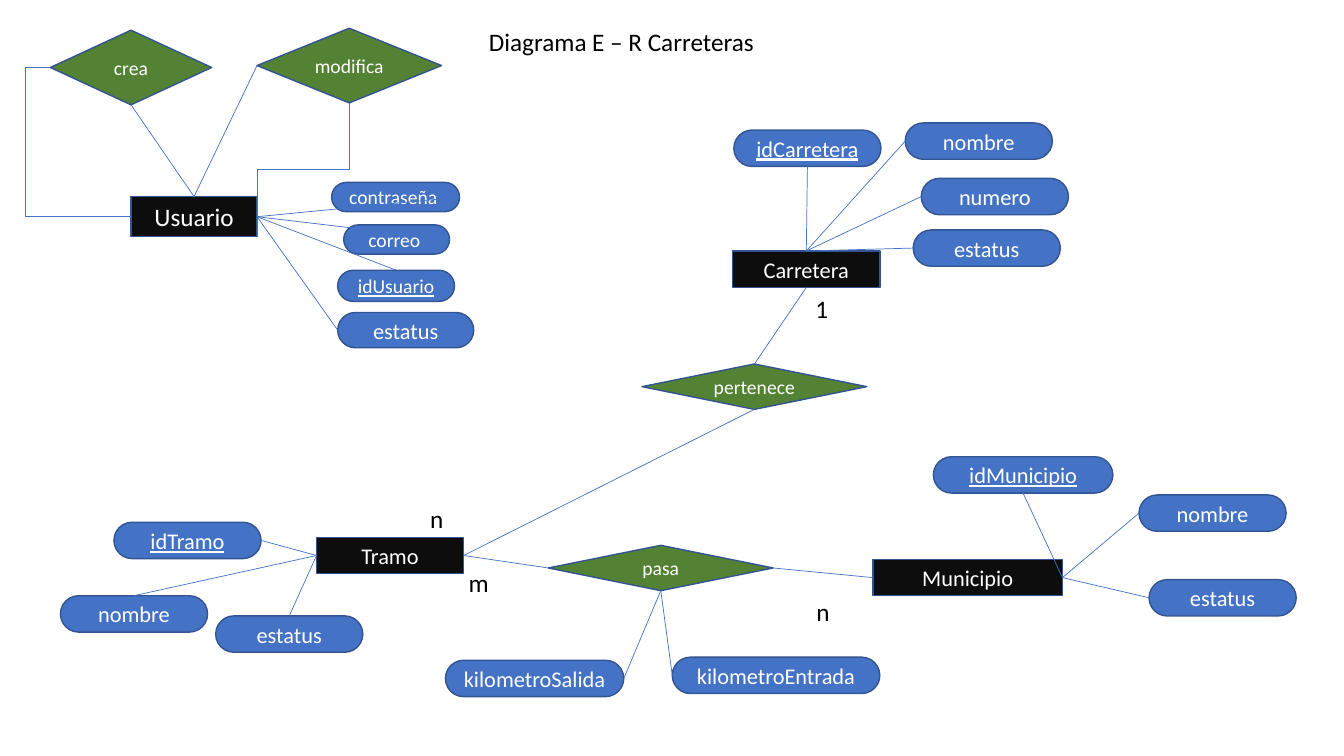
from lxml import etree
from pptx import Presentation
from pptx.dml.color import RGBColor
from pptx.enum import shapes as sh, text as tx
from pptx.oxml.ns import qn
from pptx.util import Pt

INK = {"entity": "0D0D0D", "link": "548235", "field": "4472C4", "edge": "325491",
       "wire": "4472C4", "light": "FFFFFF", "dark": "000000"}
FORM = {"entity": sh.MSO_SHAPE.RECTANGLE, "link": sh.MSO_SHAPE.DIAMOND,
        "field": sh.MSO_SHAPE.ROUNDED_RECTANGLE}
TOP, LEFT, BOTTOM, RIGHT = range(4)  # connection sites
WIDE, HIGH = 105.1, 26  # usual size of entities and fields


def paint(name):
    return RGBColor.from_string(INK[name])


def style(para, size, ink):
    para.font.name = "Calibri"
    para.font.size = Pt(size)
    para.font.color.rgb = paint(ink)


def node(slide, box, kind, word, x, y, w=WIDE, h=HIGH, size=16, key=False):
    """Add an entity, a relation or an attribute at an offset in its region."""
    item = slide.shapes.add_shape(FORM[kind], Pt(box[0] + x), Pt(box[1] + y), Pt(w), Pt(h))
    item.shadow.inherit = False
    item.fill.solid()
    item.fill.fore_color.rgb = paint(kind)
    item.line.color.rgb = paint("edge")
    item.line.width = Pt(1)
    if kind == "field":
        item.adjustments[0] = 0.5
    frame = item.text_frame
    frame.word_wrap = True
    frame.vertical_anchor = tx.MSO_ANCHOR.MIDDLE
    para = frame.paragraphs[0]
    para.text = word
    para.alignment = tx.PP_ALIGN.CENTER
    style(para, size, "light")
    if key:
        para.font.underline = True
    return item


def label(slide, box, word, x, y):
    """Add a cardinality mark."""
    item = slide.shapes.add_textbox(Pt(box[0] + x), Pt(box[1] + y), Pt(36), Pt(29))
    item.text_frame.word_wrap = True
    para = item.text_frame.paragraphs[0]
    para.text = word
    style(para, 18, "dark")


def wire(slide, kind, ends=(0, 0, 0, 0)):
    line = slide.shapes.add_connector(kind, *map(Pt, ends))
    line.line.color.rgb = paint("wire")
    line.line.width = Pt(0.5)
    etree.SubElement(line._element.spPr, qn("a:effectLst"))
    return line


def join(slide, start, site, goal, port):
    """Glue a straight line between two nodes."""
    line = wire(slide, sh.MSO_CONNECTOR.STRAIGHT)
    line.begin_connect(start, site)
    line.end_connect(goal, port)


def bend(slide, box, ends, ratio, turn=0):
    """Add an elbow line; ratio places its middle leg, turn is in degrees."""
    x, y = box
    x1, y1, x2, y2 = ends
    line = wire(slide, sh.MSO_CONNECTOR.ELBOW, (x + x1, y + y1, x + x2, y + y2))
    geom = line._element.spPr.find(qn("a:prstGeom"))
    guides = geom.find(qn("a:avLst"))
    if guides is None:
        guides = etree.SubElement(geom, qn("a:avLst"))
    etree.SubElement(guides, qn("a:gd"), name="adj1", fmla=f"val {round(ratio * 100000)}")
    if turn:
        line._element.spPr.find(qn("a:xfrm")).set("rot", str(turn * 60000))


def heading(slide, box):
    title = slide.shapes.title
    title.left, title.top, title.width, title.height = map(Pt, box)
    frame = title.text_frame
    frame.word_wrap = True
    frame.auto_size = tx.MSO_AUTO_SIZE.NONE
    frame.vertical_anchor = tx.MSO_ANCHOR.TOP
    para = frame.paragraphs[0]
    para.text = "Diagrama E – R Carreteras"
    para.alignment = tx.PP_ALIGN.CENTER
    para.line_spacing = 1.0
    para.space_before = Pt(0)
    style(para, 18, "dark")


def user(slide, box):
    main = node(slide, box, "entity", "Usuario", 75.6, 126, 90, 28.8, 18)
    # Attributes
    fields = [("idUsuario", 223.2, 178.6, 83.5, 22.3, 14, True, TOP),
              ("correo ", 227.5, 146.2, 75.6, 20.9, 14, False, RIGHT),
              ("contraseña ", 218.9, 115.9, 91.4, 20.9, 14, False, RIGHT),
              ("estatus", 223.2, 208.8, 97.2, 25.2, 16, False, LEFT)]
    items = [(node(slide, box, "field", *row[:-1]), row[-1]) for row in fields]
    for item, site in items:
        join(slide, item, site, main, RIGHT)
    # Relations back to the user
    make = node(slide, box, "link", "crea", 18, 7.2, 115.2, 53.3, 14)
    edit = node(slide, box, "link", "modifica", 165.6, 5.8, 131.8, 53.3, 14)
    join(slide, make, BOTTOM, main, TOP)
    join(slide, edit, LEFT, main, TOP)
    bend(slide, box, (75.6, 140.4, 18, 33.8), 1.31)
    bend(slide, box, (150.6, 74, 246.3, 139.9), 0.5, 90)


def entity(slide, box, word, spot, fields, hub, marks):
    """Add an entity, its attributes wired to one side, and its marks."""
    main = node(slide, box, "entity", word, *spot)
    for name, x, y, w, site in fields:
        item = node(slide, box, "field", name, x, y, w, key=name.startswith("id"))
        join(slide, main, hub, item, site)
    for mark in marks:
        label(slide, box, *mark)
    return main


def links(slide, box, road, part, town):
    own = node(slide, box, "link", "pertenece", 140.6, 0, 160.6, 32.4, 14)
    cross = node(slide, box, "link", "pasa", 73.7, 129.5, 160.6, 32.4, 14)
    join(slide, road, BOTTOM, own, TOP)
    join(slide, own, BOTTOM, part, RIGHT)
    join(slide, cross, LEFT, part, RIGHT)
    join(slide, town, LEFT, cross, RIGHT)
    # Attributes of the crossing
    for name, x, y, w, site in (("kilometroSalida", 0.2, 211.6, 127.4, RIGHT),
                                ("kilometroEntrada", 162.2, 209.4, 148.3, LEFT)):
        item = node(slide, box, "field", name, x, y, w)
        join(slide, cross, BOTTOM, item, site)


def main():
    deck = Presentation()
    deck.slide_width, deck.slide_height = Pt(960), Pt(540)
    slide = deck.slides.add_slide(deck.slide_layouts[5])
    heading(slide, (265, 15.1, 357.8, 29))
    user(slide, (18, 14.4))
    road = entity(slide, (518, 87), "Carretera", (5.4, 92.3), [
        ("idCarretera", 6.2, 5.9, WIDE, BOTTOM), ("nombre", 128.6, 0.8, WIDE, LEFT),
        ("numero", 140.1, 40.4, WIDE, LEFT), ("estatus", 134.3, 77.2, WIDE, LEFT)],
        TOP, [("1", 57.3, 118.9)])
    part = entity(slide, (43, 355), "Tramo", (183.1, 28.8), [
        ("idTramo", 38.4, 18, WIDE, RIGHT), ("nombre", 0.2, 70.5, WIDE, TOP),
        ("estatus", 111.1, 84.9, WIDE, TOP)],
        LEFT, [("n", 257.2, 0.7), ("m", 284.6, 46.8)])
    town = entity(slide, (576, 326), "Municipio", (47.5, 73.6, 135.4), [
        ("idMunicipio", 90.7, 0.2, 128.2, BOTTOM), ("nombre", 237.6, 27.5, WIDE, LEFT),
        ("estatus", 244.8, 88, WIDE, LEFT)],
        RIGHT, [("n", 0, 96.6)])
    links(slide, (318, 260), road, part, town)
    deck.save("out.pptx")


if __name__ == "__main__":
    main()
